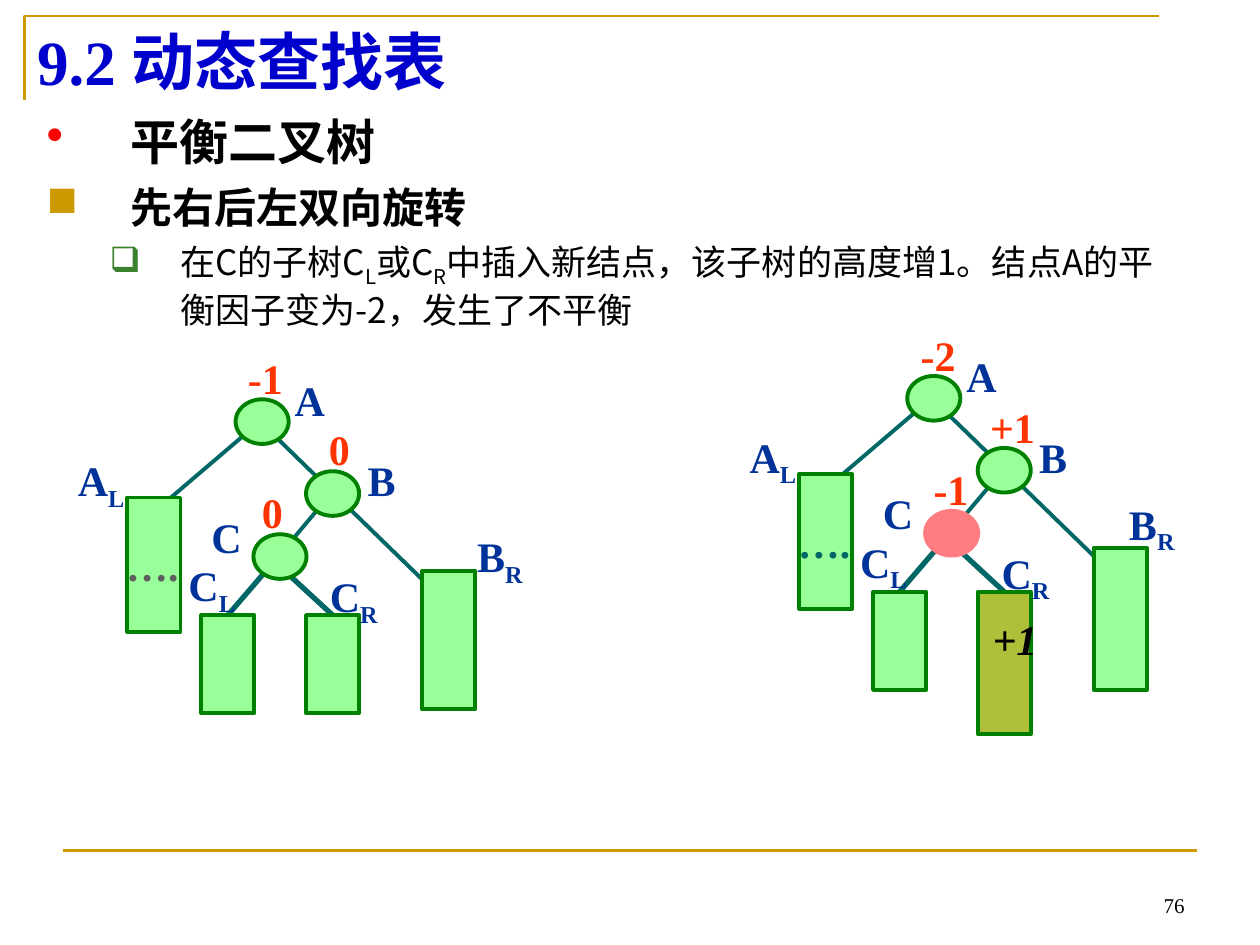
"""Build the slide on the right-left double rotation of a balanced binary tree."""
from pptx import Presentation
from pptx.dml.color import RGBColor
from pptx.enum.shapes import MSO_CONNECTOR, MSO_SHAPE
from pptx.enum.text import MSO_ANCHOR, MSO_AUTO_SIZE, PP_ALIGN
from pptx.oxml.ns import qn
from pptx.util import Cm, Pt
from lxml.etree import SubElement

SERIF, SANS = "Times New Roman", "Noto Sans CJK SC"
GOLD, GREEN, TEAL = "CC9900", "008000", "006666"
LIME, NAVY, RED, BLACK = "99FF99", "003399", "FF3300", "000000"
tint = RGBColor.from_string


def style(para, words, size, color, bold=True, name=SERIF, slant=False):
    for i, word in enumerate(words):
        run = para.add_run()
        run.text = word
        if i % 2:
            run.font._element.set("baseline", "-25000")
    font = para.font
    font.name, font.size, font.bold, font.italic = name, Pt(size), bold, slant
    font.color.rgb = tint(color)


def draw(kind, x, y, w, h, fill, edge):
    shape = slide.shapes.add_shape(kind, Cm(x), Cm(y), Cm(w), Cm(h))
    shape.shadow.inherit = False
    shape.fill.solid()
    shape.fill.fore_color.rgb = tint(fill)
    shape.line.color.rgb = tint(edge)
    shape.line.width = Pt(2.25)
    return shape


deck = Presentation()
deck.slide_width, deck.slide_height = Cm(25.4), Cm(19.05)
slide = deck.slides.add_slide(deck.slide_layouts[6])

pen = slide.shapes.build_freeform(Cm(0.5), Cm(2.02))
pen.add_line_segments([(Cm(0.5), Cm(0.32)), (Cm(23.36), Cm(0.32))], close=False)
frame = pen.convert_to_shape()
frame.shadow.inherit = False
frame.fill.background()
frame.line.color.rgb = tint(GOLD)
frame.line.width = Pt(1.5)

title = slide.shapes.add_textbox(Cm(0.5), Cm(0.32), Cm(22.86), Cm(1.8)).text_frame
title.word_wrap = True
title.vertical_anchor = MSO_ANCHOR.MIDDLE
style(title.paragraphs[0], ["9.2 动态查找表"], 36, "0000CC")

body = slide.shapes.add_textbox(Cm(0.69), Cm(2.13), Cm(23.4), Cm(14.8)).text_frame
body.word_wrap = True
points = [
    (["平衡二叉树"], 28, True, "•", "FF0000", 1.7, 1.7, 0),
    (["先右后左双向旋转"], 24, True, "■", GOLD, 1.7, 1.7, 6),
    (["在C的子树C", "L", "或C", "R",
      "中插入新结点，该子树的高度增1。结点A的平衡因子变为-2，发生了不平衡"],
     20, False, "❑", "3B812F", 2.69, 1.42, 5),
]
for i, (words, size, bold, mark, color, left, hang, gap) in enumerate(points):
    para = body.add_paragraph() if i else body.paragraphs[0]
    para.level = i // 2
    prop = para._p.get_or_add_pPr()
    prop.set("marL", str(Cm(left)))
    prop.set("indent", str(-Cm(hang)))
    hue = SubElement(prop, qn("a:buClr"))
    SubElement(hue, qn("a:srgbClr")).set("val", color)
    SubElement(prop, qn("a:buChar")).set("char", mark)
    para.space_before = Pt(gap)
    style(para, words, size, BLACK, bold, SANS)

page = slide.shapes.add_textbox(Cm(18.2), Cm(17.35), Cm(5.93), Cm(1.27)).text_frame
page.word_wrap = True
page.vertical_anchor = MSO_ANCHOR.BOTTOM
page.paragraphs[0].alignment = PP_ALIGN.RIGHT
style(page.paragraphs[0], ["76"], 12, BLACK, False)

lines = [(1.27, 17.15, 24.13, 17.15, GOLD, 1.5)]
edges = [
    (5.54, 11.3, 4.6, 12.4, 3),
    (5.74, 11.51, 6.7, 12.4, 3),
    (4.9, 8.79, 3, 10.41, 2.25),
    (5.54, 8.79, 8.51, 11.68, 2.25),
    (6.43, 10.24, 5.54, 11.3, 2.25),
]
shifts = [(0, 0), (13.54, -0.47)]
for dx, dy in shifts:
    lines += [(a + dx, b + dy, c + dx, d + dy, TEAL, wide)
              for a, b, c, d, wide in edges]
links = []
for a, b, c, d, color, wide in lines:
    link = slide.shapes.add_connector(
        MSO_CONNECTOR.STRAIGHT, Cm(a), Cm(b), Cm(c), Cm(d))
    link.line.color.rgb = tint(color)
    link.line.width = Pt(wide)
    SubElement(link._element.spPr, qn("a:effectLst"))
    links.append(link)

trees = [
    (links[1:3], "5F5F5F", LIME, GREEN, 1.98, 2.79, (9.37, 10.57),
     [("-1", 4.75, 6.99, 1.3), ("0", 6.38, 8.41, 1), ("0", 5.03, 9.68, 1)]),
    (links[6:8], TEAL, "FF7C80", "FF7C80", 2.87, 2.87, (8.97, 10.39),
     [("-2", 4.77, 6.99, 1.3), ("+1", 6.17, 8.43, 1.6), ("-1", 5.03, 9.68, 1.3)]),
]
names = [
    ("A", 5.69, 7.42, 1.2), ("B", 7.16, 9.04, 1.2), ("C", 4.01, 10.18, 1.2),
    ("AL", 1.32, 9.04, 1.6), ("CL", 3.55, 11.16, 1.6), ("CR", 6.4, 11.38, 1.6),
]
for (dx, dy), (pair, dots, fill, edge, tall, deep, spot, tags) in zip(shifts, trees):
    grown = tall > 2
    boxes = [
        draw(MSO_SHAPE.RECTANGLE, x + dx, y + dy, 1.07, h, color, GREEN)
        for x, y, h, color in [
            (2.57, 10.03, 2.71, LIME),
            (4.06, 12.4, 1.98, LIME),
            (6.17, 12.4, tall, "AFBF39" if grown else LIME),
            (8.51, 11.51, deep, LIME),
        ]
    ]
    for link, box in zip(pair, boxes[1:3]):
        link.end_connect(box, 0)
    text = boxes[0].text_frame
    text.word_wrap = False
    text.paragraphs[0].alignment = PP_ALIGN.CENTER
    style(text.paragraphs[0], ["…."], 24, dots, slant=True)

    for x, y, color, rim in [(4.75, 8.05, LIME, GREEN), (6.17, 9.5, LIME, GREEN),
                             (5.11, 10.77, fill, edge)]:
        draw(MSO_SHAPE.OVAL, x + dx, y + dy, 1.07, 0.9, color, rim)

    labels = [(*tag, RED) for tag in tags]
    labels += [(*name, NAVY) for name in names]
    labels.append(("BR", *spot, 1.6, NAVY))
    if grown:
        labels.append(("+1", 6.22, 12.71, 1.6, BLACK))
    for word, x, y, w, color in labels:
        text = slide.shapes.add_textbox(
            Cm(x + dx), Cm(y + dy), Cm(w), Cm(1.27)).text_frame
        text.word_wrap = False
        text.auto_size = MSO_AUTO_SIZE.SHAPE_TO_FIT_TEXT
        words = list(word) if word.isalpha() else [word]
        style(text.paragraphs[0], words, 24, color, slant=color == BLACK)

deck.save("out.pptx")
